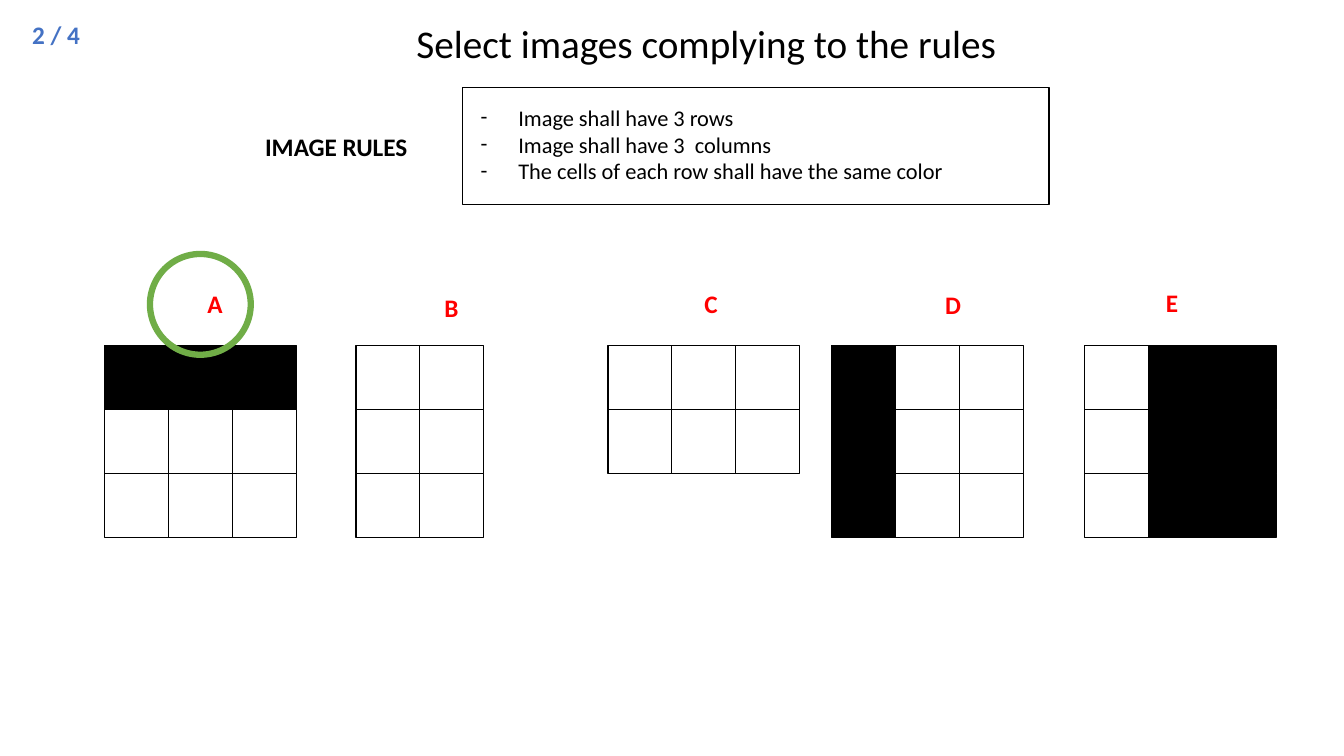
from lxml.etree import SubElement
from pptx import Presentation
from pptx.dml.color import RGBColor as RGB
from pptx.enum.shapes import MSO_SHAPE as Kind
from pptx.enum.text import MSO_ANCHOR as Anchor, MSO_AUTO_SIZE as Fit, PP_ALIGN as Align
from pptx.oxml.ns import qn
from pptx.util import Cm, Pt

BLACK = RGB(0, 0, 0)
WHITE = RGB(255, 255, 255)
RED = RGB(255, 0, 0)
GREEN = RGB(0x70, 0xAD, 0x47)
BLUE = RGB(0x44, 0x72, 0xC4)

TITLE = "Select images complying to the rules"
RULES = [
    "Image shall have 3 rows",
    "Image shall have 3  columns",
    "The cells of each row shall have the same color",
]
GRIDS = [
    ("A", 2.64, (4.98, 7.14), ["###", "...", "..."]),
    ("B", 8.97, (10.95, 7.24), ["..", "..", ".."]),
    ("C", 15.32, (17.5, 7.14), ["...", "..."]),
    ("D", 20.96, (23.57, 7.16), ["#..", "#..", "#.."]),
    ("E", 27.33, (29.13, 7.11), [".##", ".##", ".##"]),
]
LABELS = [
    ("IMAGE RULES", (6.43, 3.18, 4.14, 1.02), BLACK),
    ("2 / 4", (0.56, 0.36, 1.74, 1.02), BLUE),
]
TOP, CELL = 8.71, 1.61
FILLS = {"#": BLACK, ".": WHITE}


def place(shape, box):
    """Move a shape to a box given in centimetres."""
    for name, value in zip(("left", "top", "width", "height"), box):
        setattr(shape, name, Cm(value))


def write(shape, lines, size, color, bold=False, wrap=True):
    """Fill a shape with left-aligned lines in one font."""
    frame = shape.text_frame
    look = {"word_wrap": wrap, "auto_size": Fit.NONE, "vertical_anchor": Anchor.TOP}
    for name, value in look.items():
        setattr(frame, name, value)
    frame.text = "\n".join(lines)
    style = {"name": "Calibri", "size": Pt(size), "bold": bold}
    for par in frame.paragraphs:
        par.alignment = Align.LEFT
        par.space_before = Pt(0)
        font = par.runs[0].font
        for name, value in style.items():
            setattr(font, name, value)
        font.color.rgb = color


def dash(par):
    """Give a paragraph a hanging dash."""
    props = par._p.get_or_add_pPr()
    props.set("marL", str(Cm(0.95)))
    props.set("indent", str(-Cm(0.95)))
    SubElement(props, qn("a:buFont"), typeface="Calibri")
    SubElement(props, qn("a:buChar"), char="-")


def draw(shapes, kind, box, fill, line, width):
    """Add an outlined shape, unfilled when fill is None."""
    shape = shapes.add_shape(kind, *map(Cm, box))
    shape.shadow.inherit = False
    if fill is None:
        shape.fill.background()
    else:
        shape.fill.solid()
        shape.fill.fore_color.rgb = fill
    shape.line.color.rgb = line
    shape.line.width = Pt(width)


def label(shapes, text, box, color):
    """Add a bold one-line label."""
    write(shapes.add_textbox(*map(Cm, box)), [text], 18, color, True, False)


def main():
    """Build the slide and save it."""
    deck = Presentation()
    deck.slide_width, deck.slide_height = Cm(33.87), Cm(19.05)
    slide = deck.slides.add_slide(deck.slide_layouts[1])
    shapes = slide.shapes

    place(shapes.title, (10.24, 0.36, 16.08, 1.45))
    write(shapes.title, [TITLE], 28, BLACK)
    body = slide.placeholders[1]
    place(body, (11.86, 2.49, 12.29, 2.31))
    write(body, RULES, 16, BLACK)
    for par in body.text_frame.paragraphs:
        dash(par)

    draw(shapes, Kind.RECTANGLE, (11.66, 2.21, 14.78, 2.95), None, BLACK, 1)
    for text, box, color in LABELS:
        label(shapes, text, box, color)
    for tag, left, spot, rows in GRIDS:
        for i, row in enumerate(rows):
            for j, mark in enumerate(row):
                box = (left + j * CELL, TOP + i * CELL, CELL, CELL)
                draw(shapes, Kind.RECTANGLE, box, FILLS[mark], BLACK, 1)
        label(shapes, tag, (*spot, 0.86, 0.86), RED)
    draw(shapes, Kind.OVAL, (3.78, 6.4, 2.54, 2.54), None, GREEN, 4.5)
    deck.save("out.pptx")


if __name__ == "__main__":
    main()
